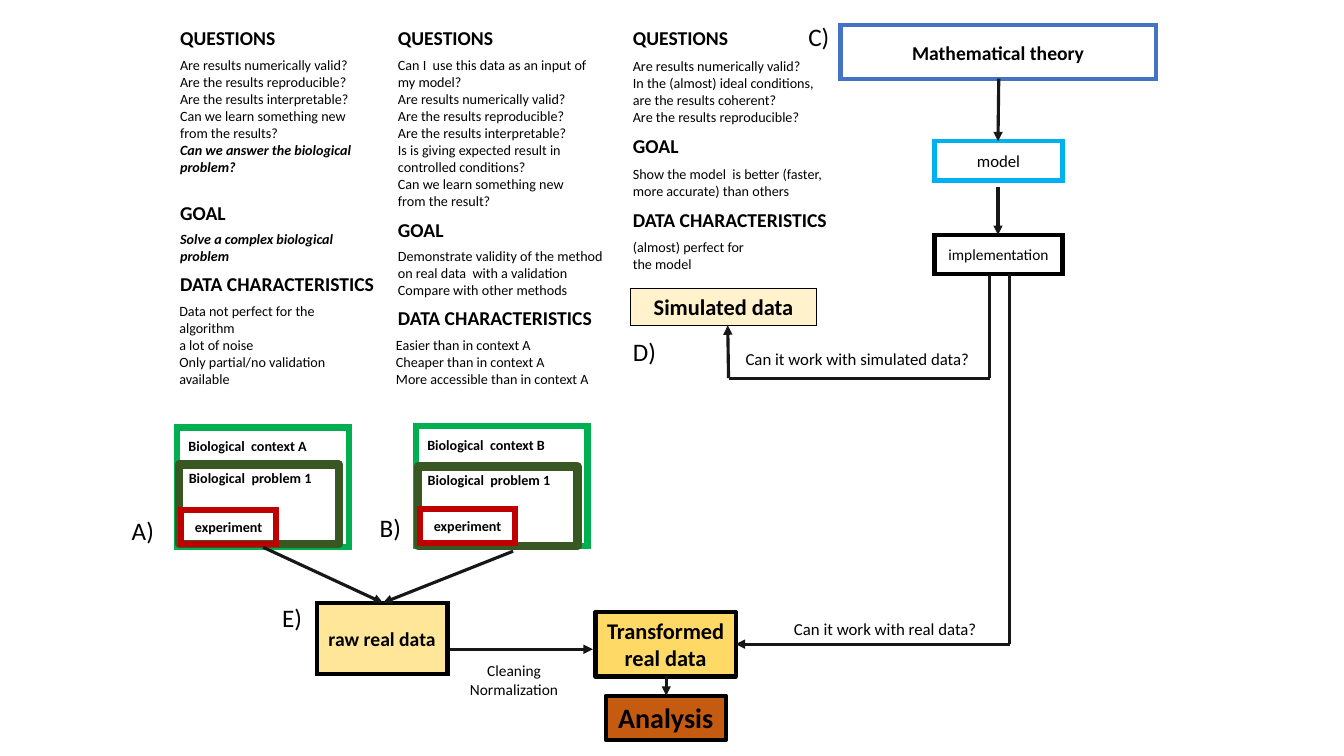
from pptx import Presentation
from pptx.dml.color import RGBColor
from pptx.enum.shapes import MSO_CONNECTOR, MSO_SHAPE
from pptx.enum.text import MSO_ANCHOR, PP_ALIGN
from pptx.oxml.ns import qn
from pptx.util import Cm, Pt
from lxml.etree import SubElement

THEME = {
    "font": "Calibri",
    "ink": "000000", "arrow": "181717", "theory": "4472C4", "model": "00B0F0",
    "context": "00B050", "problem": "385723", "experiment": "C00000",
    "raw": "FFE699", "transformed": "FFD966", "simulated": "FFF2CC", "analysis": "C55A11",
    "body": 10.1, "small": 11, "label": 12, "heading": 14, "data": 16, "letter": 18, "result": 20,
}

prs = Presentation()
prs.slide_width, prs.slide_height = Cm(33.87), Cm(19.05)
slide = prs.slides.add_slide(prs.slide_layouts[6])


def add_box(text, left, top, width, height, size="body", bold=False, strong=0, center=False,
            middle=False, fill=None, line=None, weight=3, rounded=False):
    """Add text, framed if a line colour is given; the last `strong` paragraphs are bold italic."""
    area = Cm(left), Cm(top), Cm(width), Cm(height)
    if line:
        sp = slide.shapes.add_shape(MSO_SHAPE.RECTANGLE, *area)
        sp.shadow.inherit = False
        sp.line.color.rgb = RGBColor.from_string(THEME[line])
        sp.line.width = Pt(weight)
        SubElement(sp.line._get_or_add_ln(), qn("a:round" if rounded else "a:miter"))
        if fill:
            sp.fill.solid()
            sp.fill.fore_color.rgb = RGBColor.from_string(THEME[fill])
        else:
            sp.fill.background()
    else:
        sp = slide.shapes.add_textbox(*area)
    tf = sp.text_frame
    tf.word_wrap = True
    tf.vertical_anchor = MSO_ANCHOR.MIDDLE if middle else MSO_ANCHOR.TOP
    lines = text.split("\n") if text else []
    for i, content in enumerate(lines):
        p = tf.add_paragraph() if i else tf.paragraphs[0]
        p.alignment = PP_ALIGN.CENTER if center else PP_ALIGN.LEFT
        r = p.add_run()
        r.text = content
        emphasis = i >= len(lines) - strong
        r.font.name, r.font.size = THEME["font"], Pt(THEME[size])
        r.font.bold, r.font.italic = bold or emphasis, emphasis
        r.font.color.rgb = RGBColor.from_string(THEME["ink"])


def add_line(x1, y1, x2, y2, head):
    cx = slide.shapes.add_connector(MSO_CONNECTOR.STRAIGHT, Cm(x1), Cm(y1), Cm(x2), Cm(y2))
    cx.line.color.rgb = RGBColor.from_string(THEME["arrow"])
    cx.line.width = Pt(2.25)
    if head:
        SubElement(cx.line._get_or_add_ln(), qn("a:tailEnd"), type="triangle")
    SubElement(cx._element.spPr, qn("a:effectLst"))


# Three columns of notes: left, then heading top, body left, top, width, height, strong, text
headings = ["QUESTIONS", "GOAL", "DATA CHARACTERISTICS"]
columns = [
    (4.29, [
        (0.53, 4.29, 1.30, 5.28, 3.71, 1,
         "Are results numerically valid?\nAre the results reproducible?\n"
         "Are the results interpretable?\nCan we learn something new from the results?\n"
         "Can we answer the biological problem?"),
        (4.93, 4.29, 5.69, 4.83, 1.12, 1, "Solve a complex biological problem"),
        (6.73, 4.27, 7.49, 4.90, 2.41, 0,
         "Data not perfect for the algorithm\na lot of noise\n"
         "Only partial/no validation available"),
    ]),
    (9.78, [
        (0.53, 9.78, 1.30, 5.31, 4.17, 0,
         "Can I  use this data as an input of my model?\nAre results numerically valid?\n"
         "Are the results reproducible?\nAre the results interpretable?\n"
         "Is is giving expected result in controlled conditions?\n"
         "Can we learn something new from the result?"),
        (5.36, 9.78, 6.12, 5.77, 1.55, 0,
         "Demonstrate validity of the method on real data  with a validation\n"
         "Compare with other methods"),
        (7.59, 9.73, 8.36, 5.87, 1.55, 0,
         "Easier than in context A\nCheaper than in context A\n"
         "More accessible than in context A"),
    ]),
    (15.70, [
        (0.53, 15.70, 1.32, 5.51, 1.98, 0,
         "Are results numerically valid?\n"
         "In the (almost) ideal conditions, are the results coherent?\n"
         "Are the results reproducible?"),
        (3.25, 15.70, 4.04, 5.59, 1.12, 0,
         "Show the model  is better (faster, more accurate) than others"),
        (5.11, 15.70, 5.89, 3.66, 1.12, 0, "(almost) perfect for the model"),
    ]),
]
for column_left, sections in columns:
    for heading, (heading_top, left, top, width, height, strong, text) in zip(headings, sections):
        add_box(heading, column_left, heading_top, 5.6, 0.86, size="heading", bold=True)
        add_box(text, left, top, width, height, strong=strong)

# Nested biological contexts
for name, left, top, problem_top in [("A", 4.47, 10.77, 11.71), ("B", 10.49, 10.74, 11.76)]:
    add_box("", left, top, 4.32, 3.02, line="context", weight=4.5)
    add_box(f"Biological  context {name}", left + 0.03, top + 0.13, 4.62, 0.69, bold=True)
    add_box("Biological  problem 1", left + 0.04, problem_top, 4.03, 2, bold=True,
            line="problem", weight=6, rounded=True)
    add_box("experiment", left + 0.1, top + 2.08, 2.39, 0.86, bold=True, center=True,
            middle=True, line="experiment", weight=4.5)

# Theory chain
add_box("Mathematical theory", 21.18, 0.64, 7.95, 1.35, size="heading", bold=True,
        center=True, middle=True, line="theory")
add_box("model", 23.55, 3.56, 3.23, 0.99, size="label", center=True, middle=True, line="model")
add_box("implementation", 23.55, 5.92, 3.23, 0.99, size="small", center=True, middle=True,
        line="ink")

# Data and analysis
add_box("Simulated data", 15.90, 7.26, 4.67, 0.94, size="data", bold=True, center=True,
        fill="simulated", line="ink", weight=0.75)
add_box("raw real data", 7.98, 15.19, 3.30, 1.80, size="heading", bold=True, center=True,
        middle=True, fill="raw", line="ink")
add_box("Transformed\nreal data".replace("\n", " "), 15.01, 15.42, 3.53, 1.63, size="data",
        bold=True, center=True, fill="transformed", line="ink", rounded=True)
add_box("Analysis", 15.27, 17.53, 3.02, 1.12, size="result", bold=True, center=True,
        fill="analysis", line="ink", rounded=True)

# Arrows and plain lines
for x1, y1, x2, y2, head in [
    (25.17, 1.98, 25.15, 3.56, True),     # theory to model
    (25.15, 4.70, 25.15, 5.92, True),     # model to implementation
    (24.94, 6.93, 24.94, 9.53, False),    # implementation to simulated data
    (24.94, 9.53, 18.36, 9.53, False),
    (18.36, 9.53, 18.34, 8.20, True),
    (25.45, 6.91, 25.45, 16.23, False),   # implementation to transformed data
    (25.45, 16.23, 18.54, 16.23, True),
    (6.63, 13.79, 9.65, 15.19, True),     # contexts to raw data
    (12.93, 13.89, 9.65, 15.19, True),
    (11.35, 16.36, 14.94, 16.36, True),   # raw to transformed data
    (16.79, 17.04, 16.79, 17.53, True),   # transformed data to analysis
]:
    add_line(x1, y1, x2, y2, head)

# Arrow labels
add_box("Cleaning\nNormalization", 10.90, 16.54, 4.11, 1.19, size="small", center=True)
add_box("Can it work with simulated data?", 18.54, 8.66, 6.4, 0.76, size="label")
add_box("Can it work with real data?", 19.76, 15.47, 5.4, 0.76, size="label")

# Part letters
for letter, left, top in [("A", 3.07, 12.85), ("B", 9.32, 12.78), ("C", 20.12, 0.41),
                          ("D", 15.70, 8.36), ("E", 6.86, 15.06)]:
    add_box(f"{letter})", left, top, 1.2, 1.02, size="letter")

prs.save("out.pptx")
